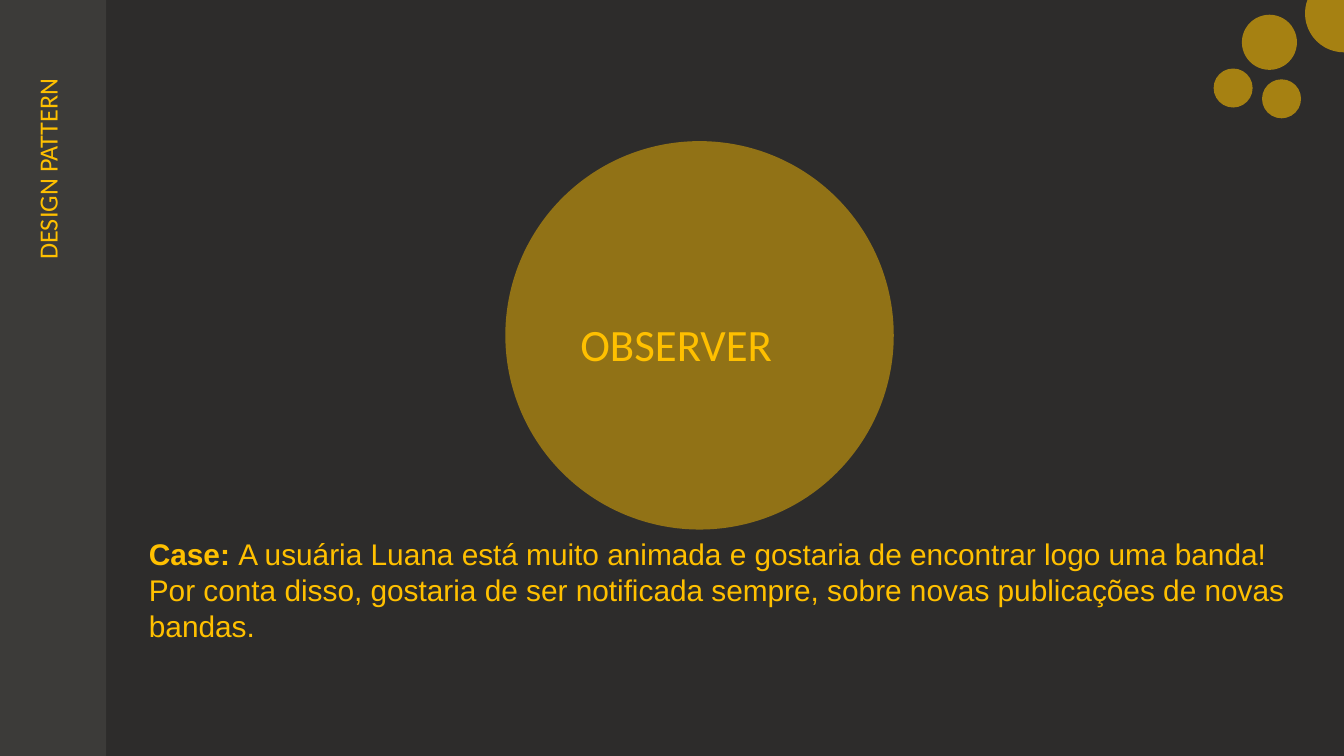
from lxml import etree
from pptx import Presentation
from pptx.dml.color import RGBColor
from pptx.enum.shapes import MSO_SHAPE
from pptx.enum.text import MSO_ANCHOR, MSO_AUTO_SIZE, PP_ALIGN
from pptx.oxml.ns import qn
from pptx.util import Inches, Pt

OVAL, RECTANGLE = MSO_SHAPE.OVAL, MSO_SHAPE.RECTANGLE
TOP, LEFT, RIGHT = MSO_ANCHOR.TOP, PP_ALIGN.LEFT, PP_ALIGN.RIGHT
FIT_SHAPE = MSO_AUTO_SIZE.SHAPE_TO_FIT_TEXT
COLORS = {"background": "2D2C2B", "sidebar": "3C3B39", "gold": "FFC000"}


def add_filled(slide, kind, box, color, opacity=100):
    """Add a borderless shape with a solid, possibly translucent fill."""
    shape = slide.shapes.add_shape(kind, *map(Inches, box))
    shape.shadow.inherit = False
    shape.line.fill.background()
    shape.fill.solid()
    shape.fill.fore_color.rgb = RGBColor.from_string(COLORS[color])
    if opacity < 100:
        color_element = shape._element.spPr.find(qn("a:solidFill"))[0]
        alpha = etree.SubElement(color_element, qn("a:alpha"))
        alpha.set("val", str(opacity * 1000))


def add_text(slide, box, runs, font, inset=0.1, **paragraph_format):
    """Add a one-paragraph text box from (text, bold) runs."""
    shape = slide.shapes.add_textbox(*map(Inches, box))
    frame = shape.text_frame
    frame_format = {"word_wrap": True, "vertical_anchor": TOP,
                    "margin_left": Inches(0.1), "margin_right": Inches(0.1),
                    "margin_top": Inches(inset), "margin_bottom": Inches(inset)}
    for name, value in frame_format.items():
        setattr(frame, name, value)
    paragraph = frame.paragraphs[0]
    for name, value in paragraph_format.items():
        setattr(paragraph, name, value)
    for text, bold in runs:
        run = paragraph.add_run()
        run.text = text
        for name, value in {**font, "bold": bold}.items():
            setattr(run.font, name, value)
        run.font.color.rgb = RGBColor.from_string(COLORS["gold"])
    return shape


def add_sidebar(slide, box):
    """Draw the side band with its rotated title."""
    left, top, width, height = box
    add_filled(slide, RECTANGLE, box, "sidebar")
    title = add_text(slide, (left - 1.12, top + 1.76, 3.11, 0.58),
                     [("DESIGN PATTERN", False)],
                     {"name": "Calibri", "size": Pt(14)}, alignment=RIGHT)
    title.rotation = 270


def add_topic(slide, box):
    """Draw the central circle and its label."""
    left, top, width, height = box
    add_filled(slide, OVAL, box, "gold", 48)
    add_text(slide, (left + 0.46, top + 1.15, 1.97, 0.57),
             [("OBSERVER", False)], {"name": "Calibri", "size": Pt(24)},
             alignment=LEFT, line_spacing=1.15, space_after=Pt(16))


def add_case(slide, box):
    """Write the use case below the circle."""
    story = ("A usuária Luana está muito animada e gostaria de encontrar logo "
             "uma banda! Por conta disso, gostaria de ser notificada sempre, "
             "sobre novas publicações de novas bandas.")
    case = add_text(slide, box, [("Case: ", True), (story, False)],
                    {"name": "Arial", "size": Pt(16)}, inset=0.05,
                    alignment=LEFT)
    case.text_frame.auto_size = FIT_SHAPE


def add_bubbles(slide, box):
    """Scatter the corner bubbles inside the box."""
    left, top, width, height = box
    bubbles = [(0.36, 0.78, 0.29), (0.21, 0.3, 0.41),
               (0, 0.7, 0.29), (0.68, 0, 0.58)]
    for across, down, size in bubbles:
        add_filled(slide, OVAL, (left + across, top + down, size, size), "gold", 58)


def main():
    """Build and save the presentation."""
    presentation = Presentation()
    presentation.slide_width = Inches(10)
    presentation.slide_height = Inches(10) * 9 // 16
    slide = presentation.slides.add_slide(presentation.slide_layouts[6])
    slide.background.fill.solid()
    slide.background.fill.fore_color.rgb = RGBColor.from_string(COLORS["background"])
    add_topic(slide, (3.76, 1.05, 2.89, 2.89))
    add_sidebar(slide, (-0.01, -0.01, 0.8, 5.68))
    add_case(slide, (1.01, 3.94, 8.66, 0.91))
    add_bubbles(slide, (9.03, -0.19, 1.26, 1.07))
    presentation.save("out.pptx")


if __name__ == "__main__":
    main()
